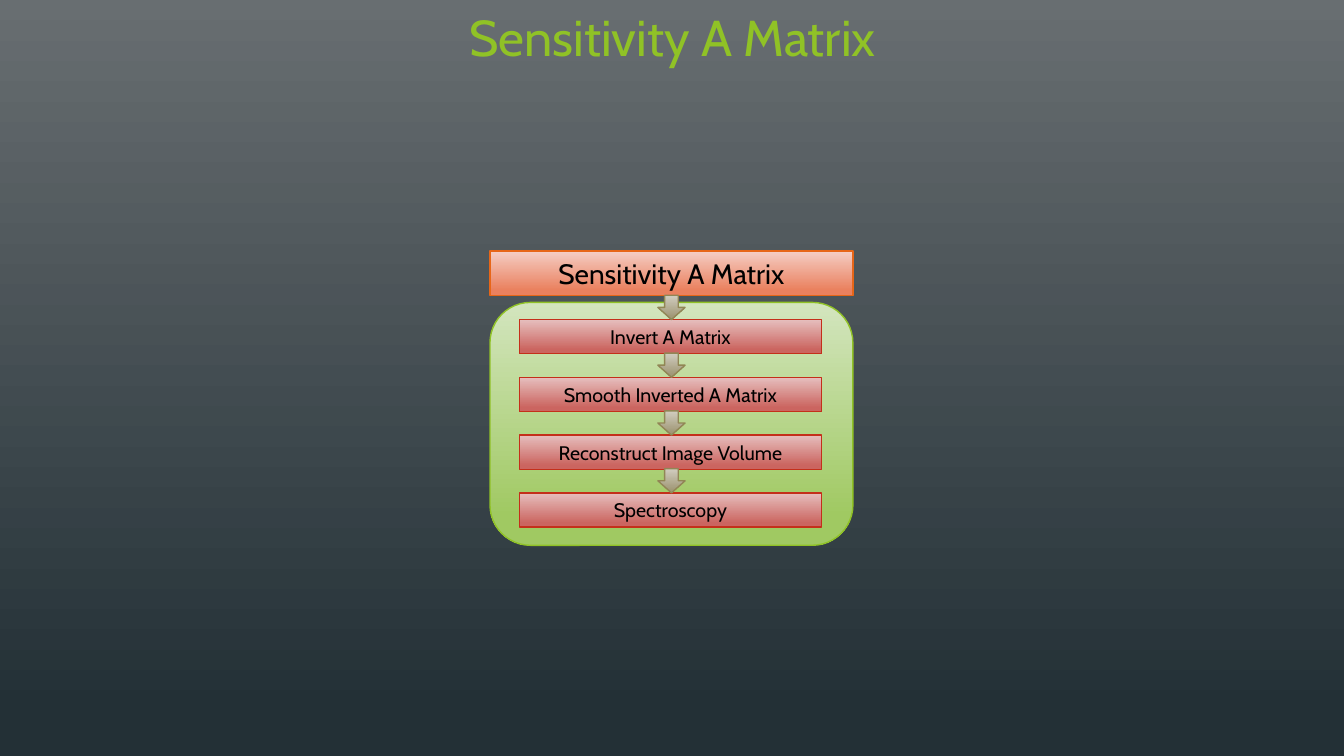
import pptx
import pptx.dml.color
import pptx.enum.shapes
import pptx.enum.text
import pptx.util

Inches = pptx.util.Inches
Pt = pptx.util.Pt
SHAPES = pptx.enum.shapes.MSO_SHAPE
ANCHOR = pptx.enum.text.MSO_ANCHOR
CENTER = pptx.enum.text.PP_ALIGN.CENTER

TITLE = "Sensitivity A Matrix"
HEADER = "Sensitivity A Matrix"
STEPS = [
    "Invert A Matrix",
    "Smooth Inverted A Matrix",
    "Reconstruct Image Volume",
    "Spectroscopy",
]

FONT = "Cabin"
COLORS = {
    "title": "90C226", "text": "000000",
    "background_top": "686E71", "background_bottom": "233036",
    "panel_top": "D3E5BE", "panel_bottom": "A0C962", "panel_line": "90C226",
    "header_top": "F5CEC5", "header_bottom": "EA815F", "header_line": "E76618",
    "step_top": "E6BFBE", "step_bottom": "CB6560", "step_line": "C42F1A",
    "arrow_top": "D1CDC0", "arrow_bottom": "A19877", "arrow_line": "918655",
}

PANEL_LEFT, PANEL_WIDTH = 4.86, 3.6
STEP_LEFT, STEP_WIDTH, STEP_HEIGHT = 5.15, 3, 0.34
FIRST_STEP_TOP, LAST_STEP_TOP = 3.17, 4.89
ARROW_WIDTH, ARROW_HEIGHT = 0.27, 0.24


def color(name):
    return pptx.dml.color.RGBColor.from_string(COLORS[name])


def fill_downward(fill, role, end):
    """Fill with the role's top-to-bottom gradient, which finishes at end (0 to 1)."""
    fill.gradient()
    fill.gradient_angle = 270
    for stop, edge, position in zip(fill.gradient_stops, ("top", "bottom"), (0, end)):
        stop.color.rgb = color(f"{role}_{edge}")
        stop.position = position


def format_text(frame, text, size, color_name):
    frame.text = text
    frame.word_wrap = True
    paragraph = frame.paragraphs[0]
    paragraph.alignment = CENTER
    paragraph.font.name = FONT
    paragraph.font.size = Pt(size)
    paragraph.font.color.rgb = color(color_name)


def add_block(shapes, kind, role, box, text=None, size=14):
    shape = shapes.add_shape(kind, *map(Inches, box))
    shape.shadow.inherit = False
    fill_downward(shape.fill, role, 0.88)
    shape.line.color.rgb = color(f"{role}_line")
    shape.line.width = Pt(1)
    if text:
        format_text(shape.text_frame, text, size, "text")
        shape.text_frame.vertical_anchor = ANCHOR.MIDDLE


def main():
    presentation = pptx.Presentation()
    presentation.slide_width = Inches(13.33)
    presentation.slide_height = Inches(7.5)
    slide = presentation.slides.add_slide(presentation.slide_layouts[5])
    fill_downward(slide.background.fill, "background", 0.94)

    title = slide.shapes.title
    title.left, title.top = Inches(1.97), Inches(0.01)
    title.width, title.height = Inches(9.4), Inches(1.44)
    format_text(title.text_frame, TITLE, 36, "title")
    title.text_frame.vertical_anchor = ANCHOR.TOP

    shapes = slide.shapes.add_group_shape().shapes
    add_block(shapes, SHAPES.ROUNDED_RECTANGLE, "panel",
              (PANEL_LEFT, 3, PANEL_WIDTH, 2.41))
    add_block(shapes, SHAPES.RECTANGLE, "header",
              (PANEL_LEFT, 2.49, PANEL_WIDTH, 0.44), HEADER, 20)

    pitch = (LAST_STEP_TOP - FIRST_STEP_TOP) / (len(STEPS) - 1)
    step_tops = [FIRST_STEP_TOP + index * pitch for index in range(len(STEPS))]
    for top, step in zip(step_tops, STEPS):
        add_block(shapes, SHAPES.RECTANGLE, "step",
                  (STEP_LEFT, top, STEP_WIDTH, STEP_HEIGHT), step)

    arrow_left = PANEL_LEFT + (PANEL_WIDTH - ARROW_WIDTH) / 2
    for top in step_tops:
        add_block(shapes, SHAPES.DOWN_ARROW, "arrow",
                  (arrow_left, top - ARROW_HEIGHT, ARROW_WIDTH, ARROW_HEIGHT))

    presentation.save("out.pptx")


if __name__ == "__main__":
    main()
